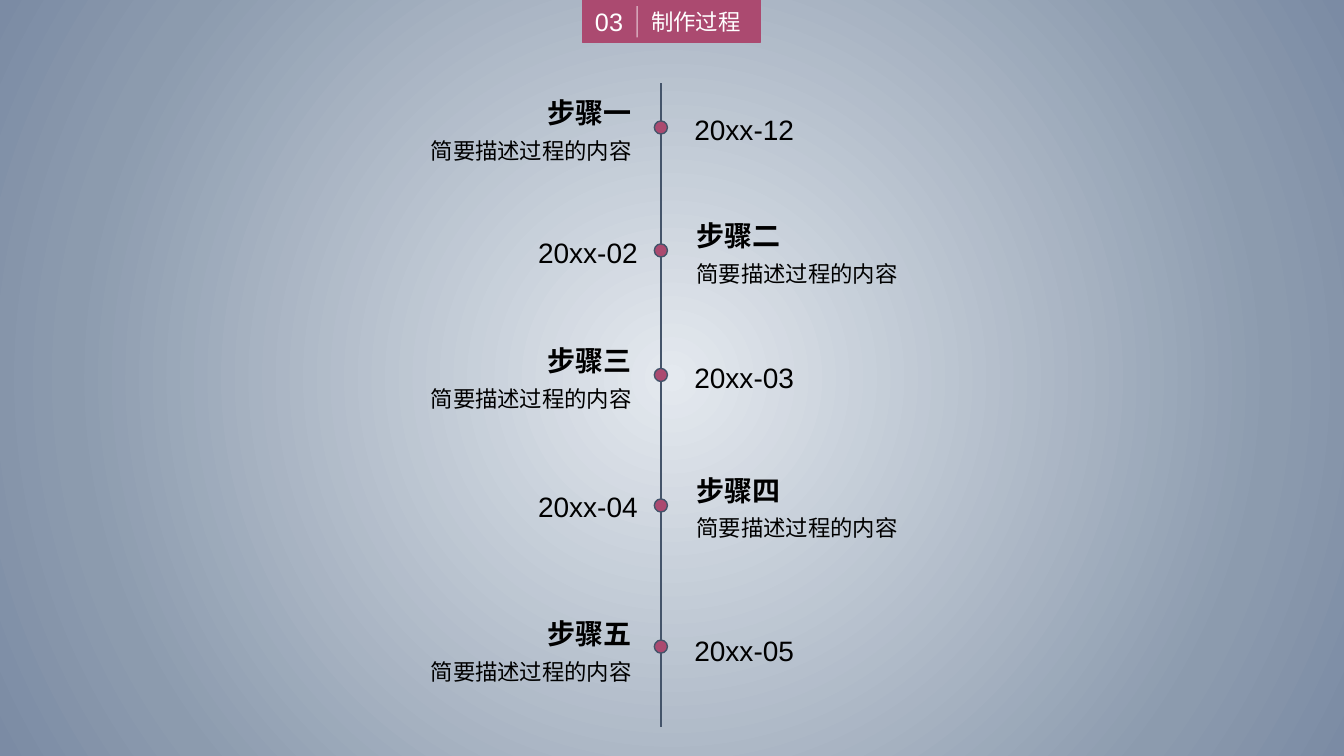
import pptx
import pptx.util
import pptx.dml.color
import pptx.enum.shapes
import pptx.enum.text
import pptx.oxml
import pptx.oxml.ns
import lxml.etree

Align = pptx.enum.text.PP_ALIGN
Anchor = pptx.enum.text.MSO_ANCHOR
Shape = pptx.enum.shapes.MSO_SHAPE
qn = pptx.oxml.ns.qn


def color(value):
    return pptx.dml.color.RGBColor.from_string(value)


def add_text(text, left, top, width, height, size, align, ink="000000", wrap=False):
    box = page.shapes.add_textbox(
        round(left * column), round(top * row), round(width * column), round(height * row))
    frame = box.text_frame
    frame.word_wrap = wrap
    frame.auto_size = pptx.enum.text.MSO_AUTO_SIZE.SHAPE_TO_FIT_TEXT
    frame.text = text
    para = frame.paragraphs[0]
    para.alignment = align
    font = para.runs[0].font
    font.name = "Arial"
    font.size = pptx.util.Pt(size)
    font.color.rgb = color(ink)
    return box


deck = pptx.Presentation()
deck.slide_width = pptx.util.Inches(13.33)
deck.slide_height = pptx.util.Inches(7.5)
column = deck.slide_width / 133.3
row = deck.slide_height / 75
page = deck.slides.add_slide(deck.slide_layouts[6])

page.background.fill.gradient()
gradient = page.background._cSld.find(".//" + qn("a:gradFill"))
for part in list(gradient):
    gradient.remove(part)
stops = lxml.etree.SubElement(gradient, qn("a:gsLst"))
for share, tint in ((0, "E4E9EF"), (78, "8C9BAE"), (100, "7B8BA4")):
    stop = lxml.etree.SubElement(stops, qn("a:gs"), pos=str(share * 1000))
    lxml.etree.SubElement(stop, qn("a:srgbClr"), val=tint)
radial = lxml.etree.SubElement(gradient, qn("a:path"), path="circle")
lxml.etree.SubElement(radial, qn("a:fillToRect"), l="50000", t="50000", r="50000", b="50000")

axis = 65.55
dot_size = 1.3
steps = (
    ("步骤一", "20xx-12", 9, 12),
    ("步骤二", "20xx-02", 21.2, 24.2),
    ("步骤三", "20xx-03", 33.6, 36.55),
    ("步骤四", "20xx-04", 46.45, 49.5),
    ("步骤五", "20xx-05", 60.7, 63.5),
)

banner = page.shapes.add_shape(
    Shape.RECTANGLE, round(57.8 * column), 0, round(17.6 * column), round(4.2 * row))
markers = [(banner, "AB4A70")]
for text, left, top, width, height, size, align in (
        ("制作过程", 63.6, 0.3, 11.8, 3.7, 16, Align.LEFT),
        ("03", 57.8, 0.1, 5.2, 4, 18, Align.CENTER)):
    label = add_text(text, left, top, width, height, size, align, "FFFFFF", True)
    label.text_frame.vertical_anchor = Anchor.MIDDLE

for across, top, bottom, ink, opacity in (
        (63.2, 0.6, 3.7, "FFFFFF", 49),
        (axis, 8.25, 72.1, "44546A", 100)):
    line = page.shapes.add_connector(
        pptx.enum.shapes.MSO_CONNECTOR.STRAIGHT,
        round(across * column), round(top * row), round(across * column), round(bottom * row))
    line.line.color.rgb = color(ink)
    line.line.width = pptx.util.Pt(1)
    if opacity < 100:
        tint = line._element.spPr.find(".//" + qn("a:srgbClr"))
        lxml.etree.SubElement(tint, qn("a:alpha"), val=str(opacity * 1000))
    lxml.etree.SubElement(line._element.spPr, qn("a:effectLst"))

for index, (title, date, top, dot_top) in enumerate(steps):
    dot = page.shapes.add_shape(
        Shape.OVAL, round((axis - dot_size / 2) * column), round(dot_top * row),
        round(dot_size * column), round(dot_size * row))
    markers.append((dot, "44546A"))

    if index % 2 == 0:
        title_left, caption_left, date_left, align = 53.2, 41.45, 67.05, Align.RIGHT
    else:
        title_left, caption_left, date_left, align = 68.1, 68.1, 51.55, Align.LEFT
    heading = add_text(title, title_left, top, 10.4, 4.4, 20, align)
    heading.text_frame.paragraphs[0].runs[0].font.bold = True
    caption = add_text("简要描述过程的内容", caption_left, top + 3.3, 22.2, 4.5, 16, align)
    caption.text_frame.paragraphs[0].line_spacing = 1.3
    add_text(date, date_left, top + 1.65, 12.7, 4.4, 20, Align.RIGHT)

for marker, outline in markers:
    marker.shadow.inherit = False
    marker.fill.solid()
    marker.fill.fore_color.rgb = color("AB4A70")
    marker.line.color.rgb = color(outline)
    marker.line.width = pptx.util.Pt(1)

deck.save("out.pptx")
